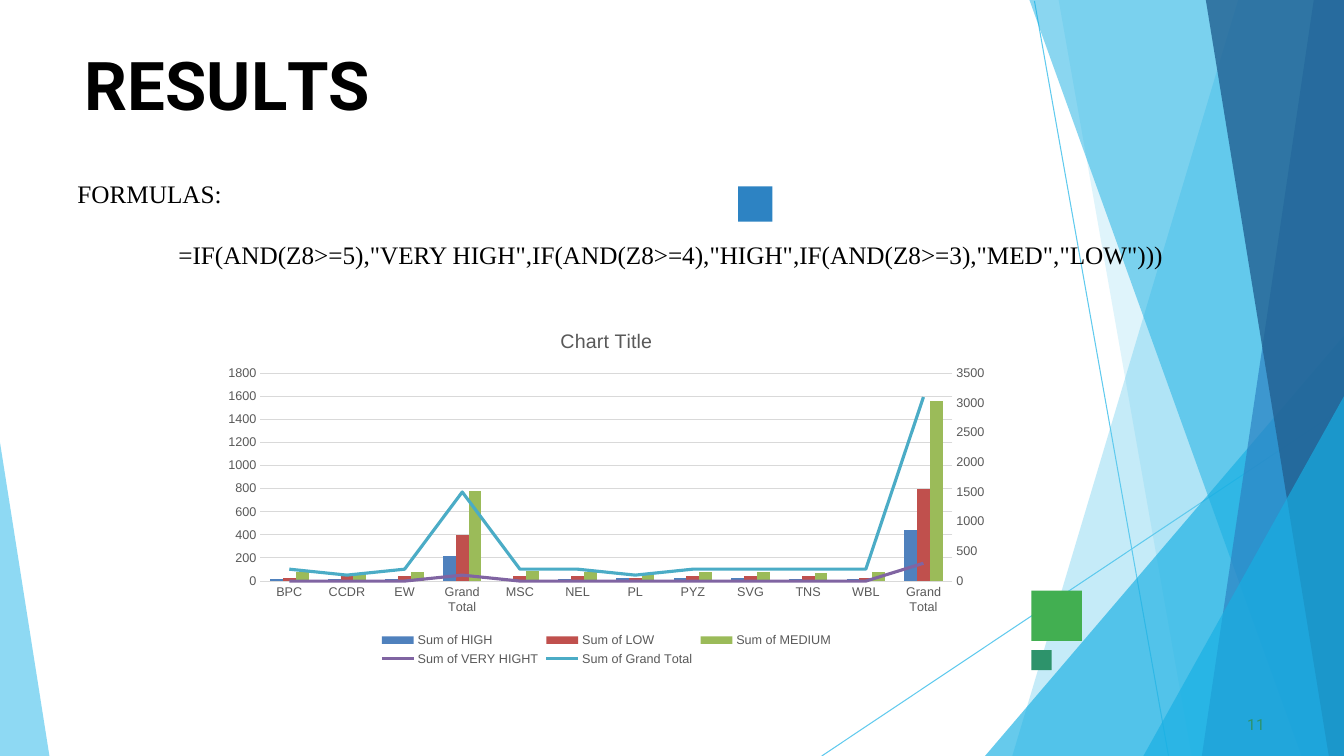
from copy import deepcopy

from lxml import etree
from pptx import Presentation
from pptx import util as u
from pptx.chart.axis import ValueAxis
from pptx.chart.data import CategoryChartData
from pptx.dml.color import RGBColor
from pptx.enum import chart as ch, shapes, text
from pptx.oxml.ns import qn
from pptx.oxml.xmlchemy import OxmlElement

WIDTH, HEIGHT = 13.33, 7.5

THEME = {
    "sky": "5FCAEE", "cyan": "17AFE3", "blue": "2D83C3", "navy": "226192",
    "green": "42AF51", "teal": "2D936B", "ink": "000000",
    "label": "595959", "rule": "D9D9D9",
    "display": "Roboto", "serif": "Times New Roman", "sans": "Arial",
    "title": 48, "body": 18, "number": 11, "chart_title": 14, "chart_label": 9,
}

RAYS = [((10.26, 0.01), (11.59, HEIGHT)), ((WIDTH, 4.04), (8.15, HEIGHT))]

FACETS = [
    ("sky", 36, [(WIDTH, 0), (12.28, 0), (10.04, HEIGHT), (WIDTH, HEIGHT)]),
    ("sky", 20, [(WIDTH, 0), (10.5, 0), (11.82, HEIGHT), (WIDTH, HEIGHT)]),
    ("cyan", 66, [(WIDTH, 3.33), (9.77, HEIGHT), (WIDTH, HEIGHT)]),
    ("cyan", 50, [(WIDTH, 0), (10.21, 0), (12.91, HEIGHT), (WIDTH, HEIGHT)]),
    ("blue", 70, [(WIDTH, 0), (13.03, 0), (11.92, HEIGHT), (WIDTH, HEIGHT)]),
    ("navy", 80, [(WIDTH, 0), (11.96, 0), (13.18, HEIGHT), (WIDTH, HEIGHT)]),
    ("cyan", 66, [(WIDTH, 3.93), (11.34, HEIGHT), (WIDTH, HEIGHT)]),
    ("sky", 70, [(0, 4.39), (0, HEIGHT), (0.49, HEIGHT)]),
]

SQUARES = [
    ("green", (10.23, 5.86, 0.5, 0.5)),
    ("blue", (7.32, 1.85, 0.34, 0.35)),
    ("teal", (10.23, 6.45, 0.2, 0.2)),
]

FORMULA = '=IF(AND(Z8>=5),"VERY HIGH",IF(AND(Z8>=4),"HIGH",IF(AND(Z8>=3),"MED","LOW")))'

TEXTS = [
    {"at": (0.83, 0.42, 11.68, 0.81), "inset": (0, 0.01),
     "style": ("display", "title", "ink", True),
     "paras": [(0.01, 1, [("R", 0), ("E", -40), ("S", 10), ("U", -30),
                          ("L", -400), ("TS", 0)])]},
    {"at": (0.67, 1.72, 11.92, 1.62), "inset": (0.1, 0.05),
     "style": ("serif", "body", "ink", False),
     "paras": [(0, 0, [("FORMULAS:", 0)]), (1, 22, [(FORMULA, 0)])]},
    {"at": (12.33, 7.08, 0.25, 0.18), "inset": (0, 0.01),
     "style": ("display", "number", "teal", False),
     "paras": [(0.04, 0.6, [("11", 10)])]},
]

CHART_AT = (2.11, 3.1, 7.81, 3.55)
CHART_TITLE = "Chart Title"
CATEGORIES = ["BPC", "CCDR", "EW", "Grand Total", "MSC", "NEL",
              "PL", "PYZ", "SVG", "TNS", "WBL", "Grand Total"]
COLUMNS = [
    ("Sum of HIGH", "4F81BD", [20, 20, 20, 220, 20, 20, 30, 30, 30, 20, 20, 440]),
    ("Sum of LOW", "C0504D", [30, 50, 40, 400, 40, 40, 30, 40, 40, 40, 30, 800]),
    ("Sum of MEDIUM", "9BBB59", [80, 60, 80, 780, 90, 80, 70, 80, 80, 70, 80, 1560]),
]
LINES = [
    ("Sum of VERY HIGHT", "8064A2", [0, 0, 0, 100, 0, 0, 0, 0, 0, 0, 0, 300]),
    ("Sum of Grand Total", "4BACC6",
     [200, 100, 200, 1500, 200, 200, 100, 200, 200, 200, 200, 3100]),
]


def color(name):
    return RGBColor.from_string(THEME.get(name, name))


def inches(values):
    return [u.Inches(value) for value in values]


def paint(shape, name, opacity=100):
    shape.shadow.inherit = False
    shape.fill.solid()
    shape.fill.fore_color.rgb = color(name)
    shape.line.fill.background()
    if opacity < 100:
        tint = shape._element.spPr.find(".//" + qn("a:srgbClr"))
        etree.SubElement(tint, qn("a:alpha")).set("val", str(opacity * 1000))


def add_ray(page, start, end):
    ray = page.shapes.add_connector(shapes.MSO_CONNECTOR.STRAIGHT, *inches(start + end))
    ray.line.color.rgb = color("sky")
    ray.line.width = u.Pt(0.75)
    etree.SubElement(ray._element.spPr, qn("a:effectLst"))


def add_facet(page, name, opacity, points):
    corners = [inches(point) for point in points]
    builder = page.shapes.build_freeform(*corners[0])
    builder.add_line_segments(corners[1:], close=True)
    paint(builder.convert_to_shape(), name, opacity)


def add_text(page, at, inset, style, paras):
    font, size, ink, bold = style
    box = page.shapes.add_textbox(*inches(at))
    frame = box.text_frame
    frame.word_wrap = True
    frame.vertical_anchor = text.MSO_ANCHOR.TOP
    frame.margin_left = frame.margin_right = u.Inches(inset[0])
    frame.margin_top = u.Inches(inset[1])
    frame.margin_bottom = 0
    for index, (indent, before, spans) in enumerate(paras):
        para = frame.add_paragraph() if index else frame.paragraphs[0]
        para.space_before = u.Pt(before)
        para._p.get_or_add_pPr().set("marL", str(u.Inches(indent)))
        for words, spacing in spans:
            span = para.add_run()
            span.text = words
            span.font.name = THEME[font]
            span.font.size = u.Pt(THEME[size])
            span.font.bold = bold
            span.font.color.rgb = color(ink)
            span._r.get_or_add_rPr().set("spc", str(spacing))


def style_font(font, size="chart_label"):
    font.name = THEME["sans"]
    font.size = u.Pt(THEME[size])
    font.bold = False
    font.color.rgb = color("label")


def set_value(parent, tag, setting):
    child = parent.find(qn(tag))
    if child is None:
        child = etree.SubElement(parent, qn(tag))
    child.set("val", setting)


def drop(parent, tag):
    for child in parent.findall(qn(tag)):
        parent.remove(child)


def move_lines_to_right_axis(chart):
    plot_area = chart._chartSpace.chart.plotArea
    bars = plot_area.find(qn("c:barChart"))
    category = chart.category_axis._element
    value = chart.value_axis._element
    lines = OxmlElement("c:lineChart")
    bars.addnext(lines)
    set_value(lines, "c:grouping", "standard")
    set_value(lines, "c:varyColors", "0")
    for series in bars.findall(qn("c:ser"))[len(COLUMNS):]:
        drop(series, "c:invertIfNegative")
        lines.append(series)
    set_value(lines, "c:marker", "1")
    for axis_id in ("5001", "5002"):
        etree.SubElement(lines, qn("c:axId")).set("val", axis_id)

    hidden, right = deepcopy(category), deepcopy(value)
    drop(right, "c:majorGridlines")
    for axis, settings in (
        (hidden, {"axId": "5001", "crossAx": "5002", "delete": "1"}),
        (right, {"axId": "5002", "crossAx": "5001", "axPos": "r", "crosses": "max"}),
    ):
        for tag, setting in settings.items():
            set_value(axis, "c:" + tag, setting)
    value.addnext(right)
    right.addnext(hidden)
    return ValueAxis(right)


def add_results_chart(page):
    data = CategoryChartData()
    data.categories = CATEGORIES
    for name, _, values in COLUMNS + LINES:
        data.add_series(name, values)
    chart = page.shapes.add_chart(
        ch.XL_CHART_TYPE.COLUMN_CLUSTERED, *inches(CHART_AT), data).chart
    style_font(chart.font)

    chart.has_title = True
    span = chart.chart_title.text_frame.paragraphs[0].add_run()
    span.text = CHART_TITLE
    style_font(span.font, "chart_title")

    chart.has_legend = True
    chart.legend.position = ch.XL_LEGEND_POSITION.BOTTOM
    chart.legend.include_in_layout = False
    style_font(chart.legend.font)

    for axis in (chart.category_axis, chart.value_axis):
        axis.major_tick_mark = axis.minor_tick_mark = ch.XL_TICK_MARK.NONE
        style_font(axis.tick_labels.font)
    left = chart.value_axis
    left.format.line.fill.background()
    left.minimum_scale, left.maximum_scale, left.major_unit = 0, 1800, 200
    left.has_major_gridlines = True
    for rule in (chart.category_axis.format.line, left.major_gridlines.format.line):
        rule.color.rgb = color("rule")
        rule.width = u.Pt(0.75)

    right = move_lines_to_right_axis(chart)
    right.maximum_scale, right.major_unit = 3500, 500

    columns, lines = chart.plots
    columns.gap_width = 150
    columns.vary_by_categories = False
    for series, (_, shade, _) in zip(columns.series, COLUMNS):
        series.format.fill.solid()
        series.format.fill.fore_color.rgb = color(shade)
    for series, (_, shade, _) in zip(lines.series, LINES):
        series.smooth = False
        series.marker.style = ch.XL_MARKER_STYLE.NONE
        series.format.line.color.rgb = color(shade)
        series.format.line.width = u.Pt(2.25)


def main():
    deck = Presentation()
    deck.slide_width, deck.slide_height = inches((WIDTH, HEIGHT))
    page = deck.slides.add_slide(deck.slide_layouts[6])
    for start, end in RAYS:
        add_ray(page, start, end)
    for facet in FACETS:
        add_facet(page, *facet)
    for name, at in SQUARES:
        paint(page.shapes.add_shape(shapes.MSO_SHAPE.RECTANGLE, *inches(at)), name)
    for block in TEXTS:
        add_text(page, **block)
    add_results_chart(page)
    deck.save("out.pptx")


if __name__ == "__main__":
    main()
